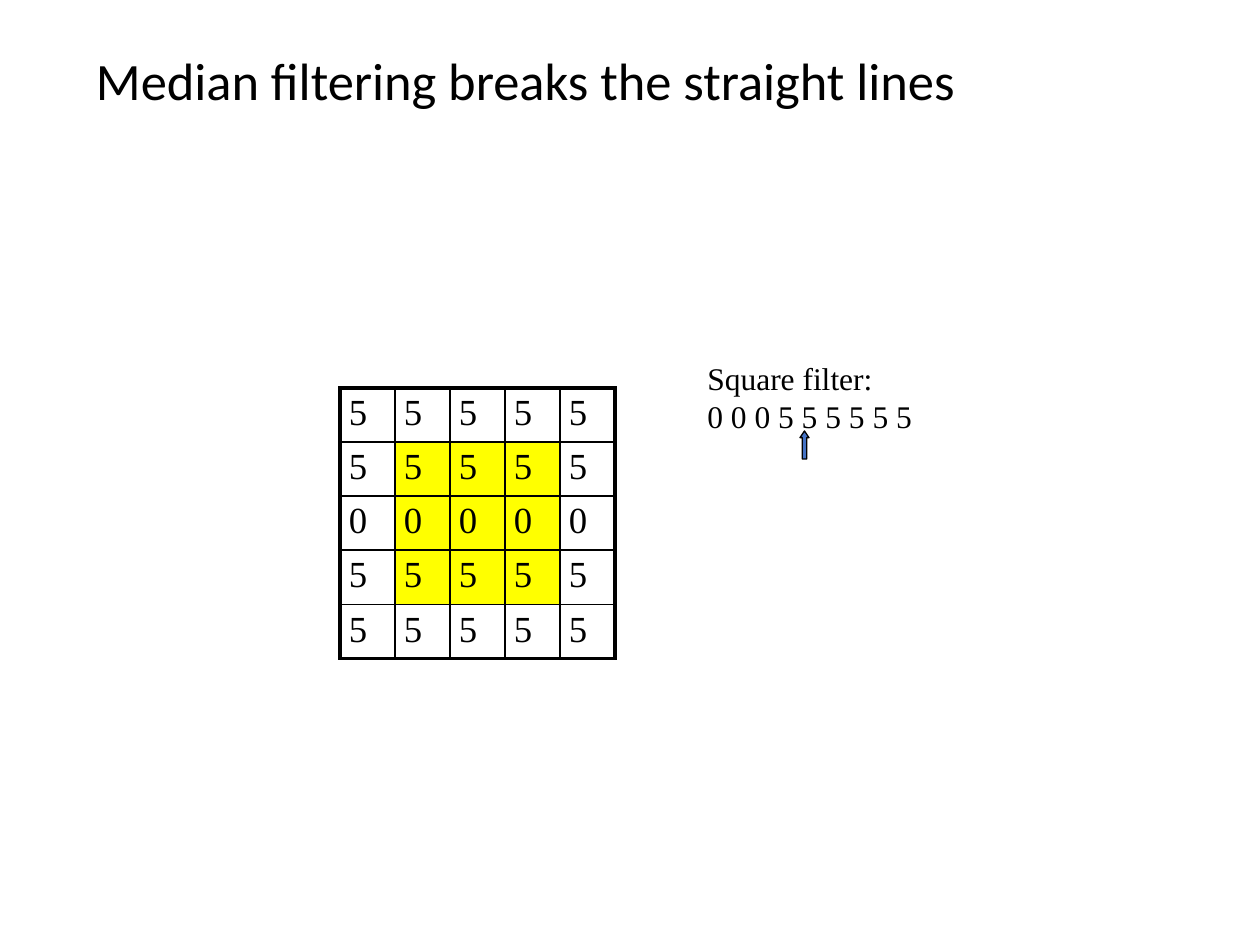
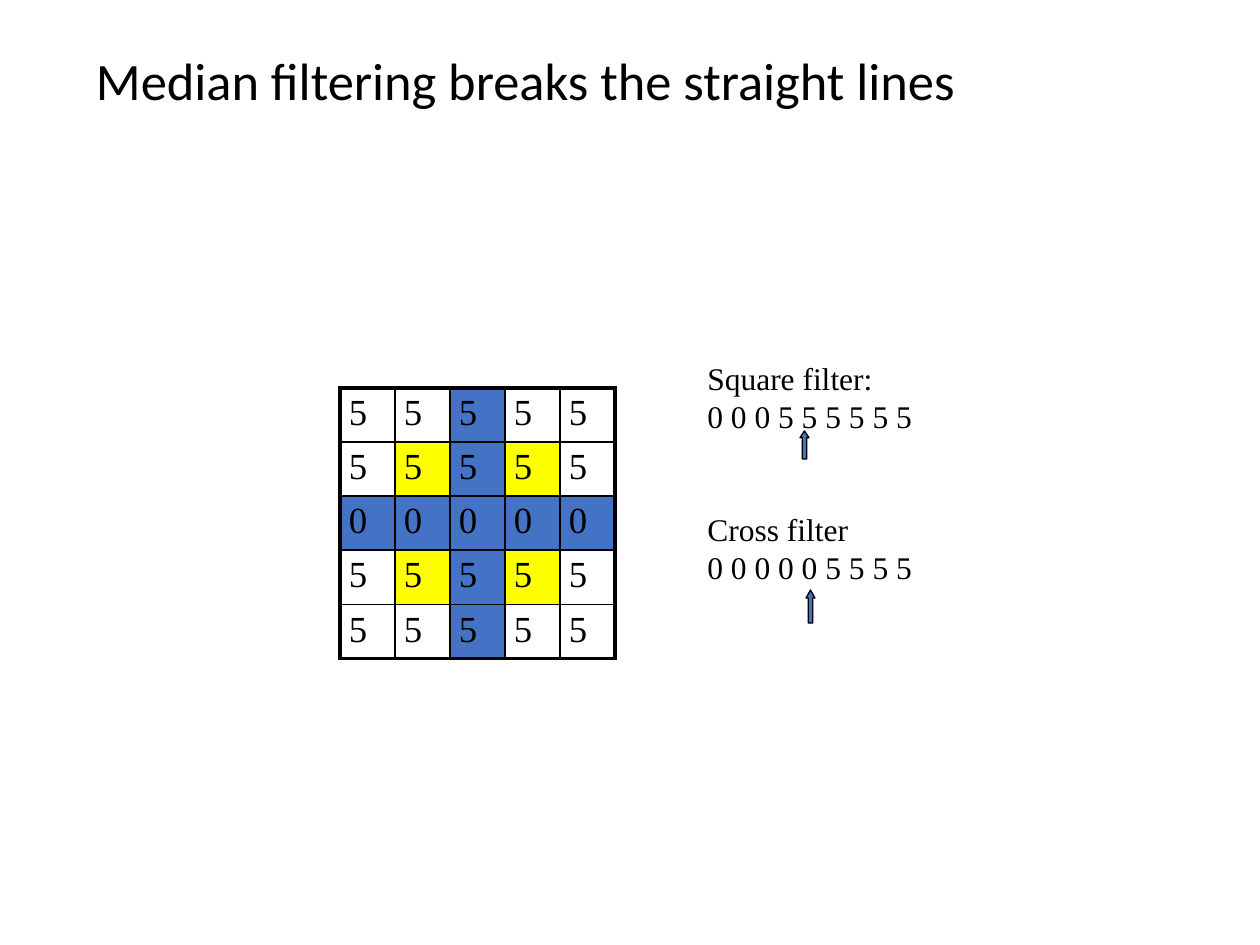
from lxml import etree
from pptx import Presentation
from pptx.dml.color import RGBColor
from pptx.enum.shapes import MSO_SHAPE
from pptx.oxml.ns import qn
from pptx.util import Emu, Pt

BLACK = RGBColor(0x00, 0x00, 0x00)
WHITE = RGBColor(0xFF, 0xFF, 0xFF)
YELLOW = RGBColor(0xFF, 0xFF, 0x00)
BLUE = RGBColor(0x44, 0x72, 0xC4)

PX_PER_INCH = 126
GRID_SIZE = 5
THIN, THICK = Pt(1), Pt(2.25)
LABEL_PITCH = 21.6
TITLE = "Median filtering breaks the straight lines"
PIXEL_ROWS = ["55555", "55555", "00000", "55555", "55555"]
MASK_FILLS = {".": WHITE, "s": YELLOW, "c": BLUE}

SQUARE = ("Square filter:", "0 0 0 5 5 5 5 5 5")
CROSS = ("Cross filter", "0 0 0 0 0 5 5 5 5")
SQUARE_MEDIAN = (800, 431, 9, 28)
CROSS_MEDIAN = (806, 590, 9, 33)

SLIDES = [
    {
        "mask": [".....", ".sss.", ".sss.", ".sss.", "....."],
        "filters": [SQUARE],
        "labels_height": 165,
        "medians": [(SQUARE_MEDIAN, 0.75)],
    },
    {
        "mask": ["..c..", ".scs.", "ccccc", ".scs.", "..c.."],
        "filters": [SQUARE, CROSS],
        "labels_height": 242,
        "medians": [(SQUARE_MEDIAN, 0.75), (CROSS_MEDIAN, 0.89)],
    },
]


def px(*lengths):
    return [Emu(round(length * 914400 / PX_PER_INCH)) for length in lengths]


def add_border(cell, side, width):
    """Draw one edge of a table cell; side is L, R, T or B."""
    edge = etree.SubElement(cell._tc.get_or_add_tcPr(), qn(f"a:ln{side}"), w=str(width))
    fill = etree.SubElement(edge, qn("a:solidFill"))
    etree.SubElement(fill, qn("a:srgbClr"), val=str(BLACK))


prs = Presentation()
prs.slide_width, prs.slide_height = px(1260, 945)

for content in SLIDES:
    slide = prs.slides.add_slide(prs.slide_layouts[6])

    title = slide.shapes.add_textbox(*px(87, 50, 1086, 183)).text_frame
    title.word_wrap = True
    title.margin_left, title.margin_right, title.margin_top, title.margin_bottom = px(9, 9, 5, 5)
    heading = title.paragraphs[0]
    heading.text = TITLE
    heading.line_spacing = 0.9
    heading.font.name = "Calibri"
    heading.font.size = Pt(30)
    heading.font.color.rgb = BLACK

    grid = slide.shapes.add_table(GRID_SIZE, GRID_SIZE, *px(340, 388, 275, 268)).table
    grid.first_row = grid.horz_banding = False
    for r, (values, mask_row) in enumerate(zip(PIXEL_ROWS, content["mask"])):
        for c, (value, mark) in enumerate(zip(values, mask_row)):
            cell = grid.cell(r, c)
            outer_edges = {"L": c == 0, "R": c == GRID_SIZE - 1,
                           "T": r == 0, "B": r == GRID_SIZE - 1}
            for side, is_outer in outer_edges.items():
                add_border(cell, side, THICK if is_outer else THIN)
            cell.fill.solid()
            cell.fill.fore_color.rgb = MASK_FILLS[mark]
            cell.margin_left, cell.margin_right, cell.margin_top, cell.margin_bottom = px(9, 9, 5, 5)
            digit = cell.text_frame.paragraphs[0]
            digit.text = value
            digit.font.name = "Times New Roman"
            digit.font.size = Pt(21)
            digit.font.color.rgb = BLACK

    labels = slide.shapes.add_textbox(*px(695, 353, 241, content["labels_height"])).text_frame
    labels.word_wrap = False
    for f, lines in enumerate(content["filters"]):
        for n, line in enumerate(lines):
            label = labels.add_paragraph() if f or n else labels.paragraphs[0]
            label.text = line
            label.line_spacing = Pt(LABEL_PITCH)
            if f and n == 0:
                label.space_before = Pt(2 * LABEL_PITCH)
            label.font.name = "Times New Roman"
            label.font.size = Pt(18)
            label.font.color.rgb = BLACK

    for place, head_length in content["medians"]:
        median = slide.shapes.add_shape(MSO_SHAPE.UP_ARROW, *px(*place))
        median.adjustments[0] = 0.5
        median.adjustments[1] = head_length
        median.shadow.inherit = False
        median.fill.solid()
        median.fill.fore_color.rgb = BLUE
        median.line.color.rgb = BLACK
        median.line.width = Pt(0.75)

prs.save("out.pptx")
